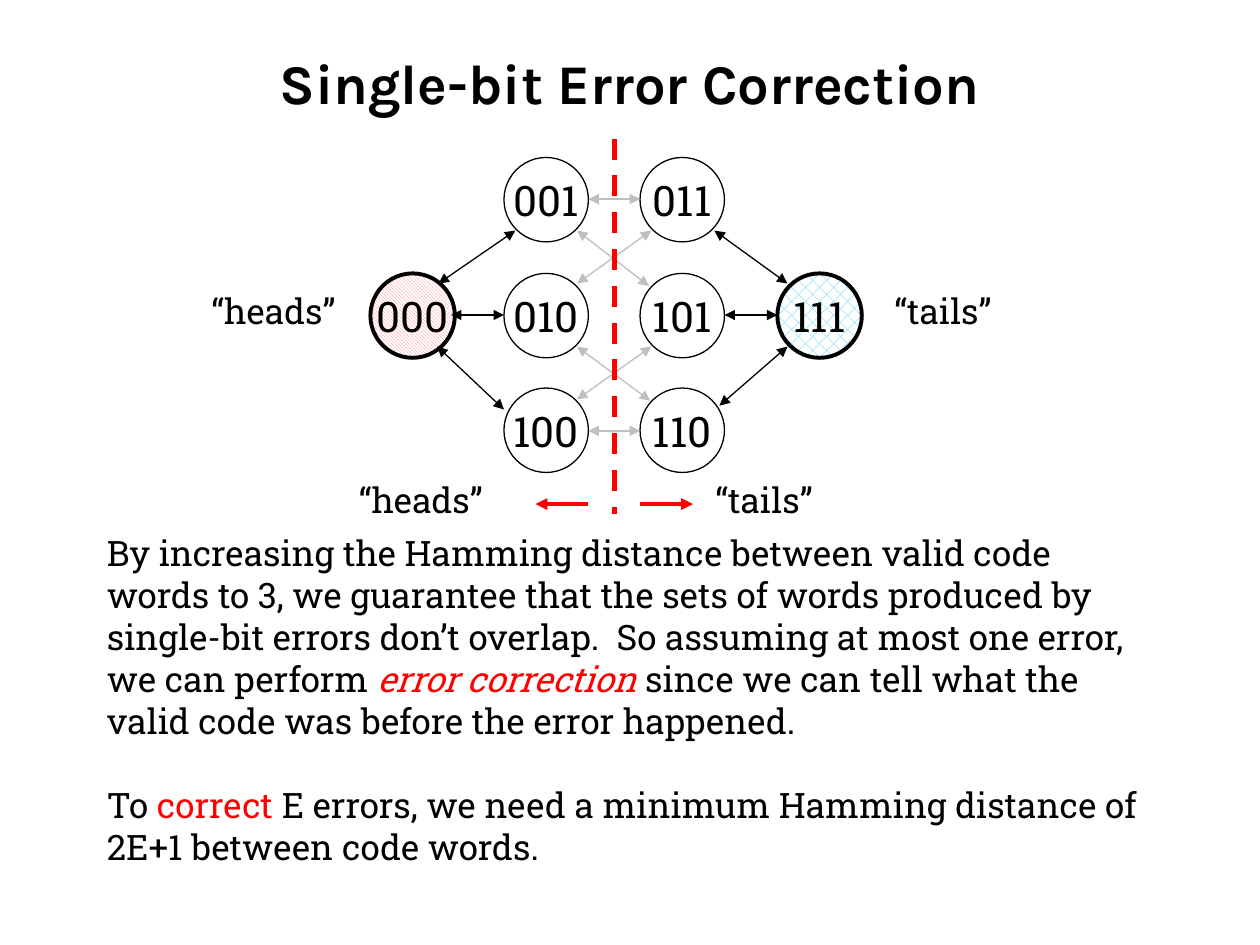
from lxml.etree import SubElement
from pptx import Presentation
from pptx.dml.color import RGBColor
from pptx.enum.dml import MSO_LINE, MSO_PATTERN
from pptx.enum.shapes import MSO_CONNECTOR, MSO_SHAPE
from pptx.enum.text import MSO_ANCHOR, MSO_AUTO_SIZE, PP_ALIGN
from pptx.oxml.ns import qn
from pptx.util import Pt

PX = 9144  # 100 px to the inch
BLACK = RGBColor(0x00, 0x00, 0x00)
WHITE = RGBColor(0xFF, 0xFF, 0xFF)
RED = RGBColor(0xFF, 0x00, 0x00)
GREY = RGBColor(0xBF, 0xBF, 0xBF)
PINK = RGBColor(0xFF, 0x7C, 0x80)
CYAN = RGBColor(0x33, 0xCC, 0xFF)
HEAD, BODY = "Karla", "Roboto Slab"


def emu(*px):
    return [n * PX for n in px]


def put(para, text, font=BODY, size=20, color=BLACK, bold=None, italic=None):
    run = para.add_run()
    run.text = text
    face = run.font
    face.name, face.size, face.color.rgb = font, Pt(size), color
    face.bold, face.italic = bold, italic


class Pen:
    def __init__(self, slide):
        self.slide = slide
        self.shapes = slide.shapes

    def title(self, text, x, y, w, h):
        box = self.slide.shapes.title
        box.left, box.top, box.width, box.height = emu(x, y, w, h)
        frame = box.text_frame
        frame.auto_size = MSO_AUTO_SIZE.NONE
        frame.vertical_anchor = MSO_ANCHOR.MIDDLE
        para = frame.paragraphs[0]
        para.alignment = PP_ALIGN.CENTER
        put(para, text, font=HEAD, size=32, bold=True)

    def text(self, runs, x, y, w, h, wrap=True):
        frame = self.shapes.add_textbox(*emu(x, y, w, h)).text_frame
        frame.word_wrap = wrap
        frame.auto_size = MSO_AUTO_SIZE.SHAPE_TO_FIT_TEXT
        for words, style in runs:
            put(frame.paragraphs[0], words, **style)

    def label(self, text, x, y, w):
        self.text([(text, {})], x, y, w, 44, wrap=False)

    def node(self, code, x, y, size=67, hatch=None, color=None):
        dot = self.shapes.add_shape(MSO_SHAPE.OVAL, *emu(x, y, size, size))
        dot.shadow.inherit = False
        dot.line.color.rgb = BLACK
        dot.line.width = Pt(2.25 if hatch else 0.75)
        if hatch:
            dot.fill.patterned()
            dot.fill.pattern = hatch
            dot.fill.fore_color.rgb = color
            dot.fill.back_color.rgb = WHITE
        else:
            dot.fill.background()
        frame = dot.text_frame
        frame.word_wrap = False
        frame.vertical_anchor = MSO_ANCHOR.MIDDLE
        para = frame.paragraphs[0]
        para.alignment = PP_ALIGN.CENTER
        put(para, code, size=24)

    def line(self, ends, color=BLACK, width=0.75, dash=None, tips=("headEnd", "tailEnd")):
        link = self.shapes.add_connector(MSO_CONNECTOR.STRAIGHT, *emu(*ends))
        link.line.color.rgb = color
        link.line.width = Pt(width)
        if dash:
            link.line.dash_style = dash
        stroke = link.line._get_or_add_ln()
        for tip in tips:
            SubElement(stroke, qn("a:" + tip), type="triangle")
        SubElement(link._element.spPr, qn("a:effectLst"))


def main():
    deck = Presentation()
    deck.slide_width, deck.slide_height = emu(1000, 750)
    pen = Pen(deck.slides.add_slide(deck.slide_layouts[5]))
    pen.title("Single-bit Error Correction", 50, 30, 900, 70)

    # Explanation
    pen.text([
        ("By increasing the Hamming distance between valid code words to 3, "
         "we guarantee that the sets of words produced by single-bit errors "
         "don’t overlap.  So assuming at most one error, we can perform ", {}),
        ("error correction ", dict(color=RED, italic=True)),
        ("since we can tell what the valid code was before the error happened.", {}),
    ], 75, 417, 844, 178)
    pen.text([
        ("To ", {}),
        ("correct", dict(color=RED)),
        (" E errors, we need a minimum Hamming distance of 2E+1 between code words.", {}),
    ], 75, 617, 875, 77)

    # Code words: two valid ones outside, two columns of errors between
    rows = (125, 217, 308)
    pen.node("111", 617, rows[1], hatch=MSO_PATTERN.PERCENT_25, color=CYAN)
    pen.node("000", 294, rows[1], hatch=MSO_PATTERN.DARK_DOWNWARD_DIAGONAL, color=PINK)
    for x, codes in ((400, ("001", "010", "100")), (508, ("011", "101", "110"))):
        for y, code in zip(rows, codes):
            pen.node(code, x, y)

    # One-bit steps from the valid words
    for ends in ((348, 225, 409, 183), (400, 250, 358, 250), (347, 275, 400, 325),
                 (567, 183, 625, 225), (617, 250, 575, 250), (571, 322, 625, 275)):
        pen.line(ends)

    # One-bit steps between the columns
    for ends in ((508, 158, 467, 158), (515, 227, 458, 183), (517, 183, 458, 225),
                 (517, 275, 458, 317), (516, 318, 458, 275), (508, 342, 467, 342)):
        pen.line(ends, color=GREY)

    # Names of the valid words
    pen.label("“heads”", 158, 225, 132)
    pen.label("“tails”", 700, 225, 107)

    # Dividing line with its two sides, grouped
    pen.shapes = pen.slide.shapes.add_group_shape().shapes
    pen.label("“heads”", 275, 375, 132)
    pen.label("“tails”", 558, 375, 107)
    pen.line((488, 110, 488, 408), color=RED, width=3, dash=MSO_LINE.DASH, tips=())
    for start, end in ((508, 550), (467, 425)):
        pen.line((start, 400, end, 400), color=RED, width=2.25, tips=("tailEnd",))

    deck.save("out.pptx")


if __name__ == "__main__":
    main()
